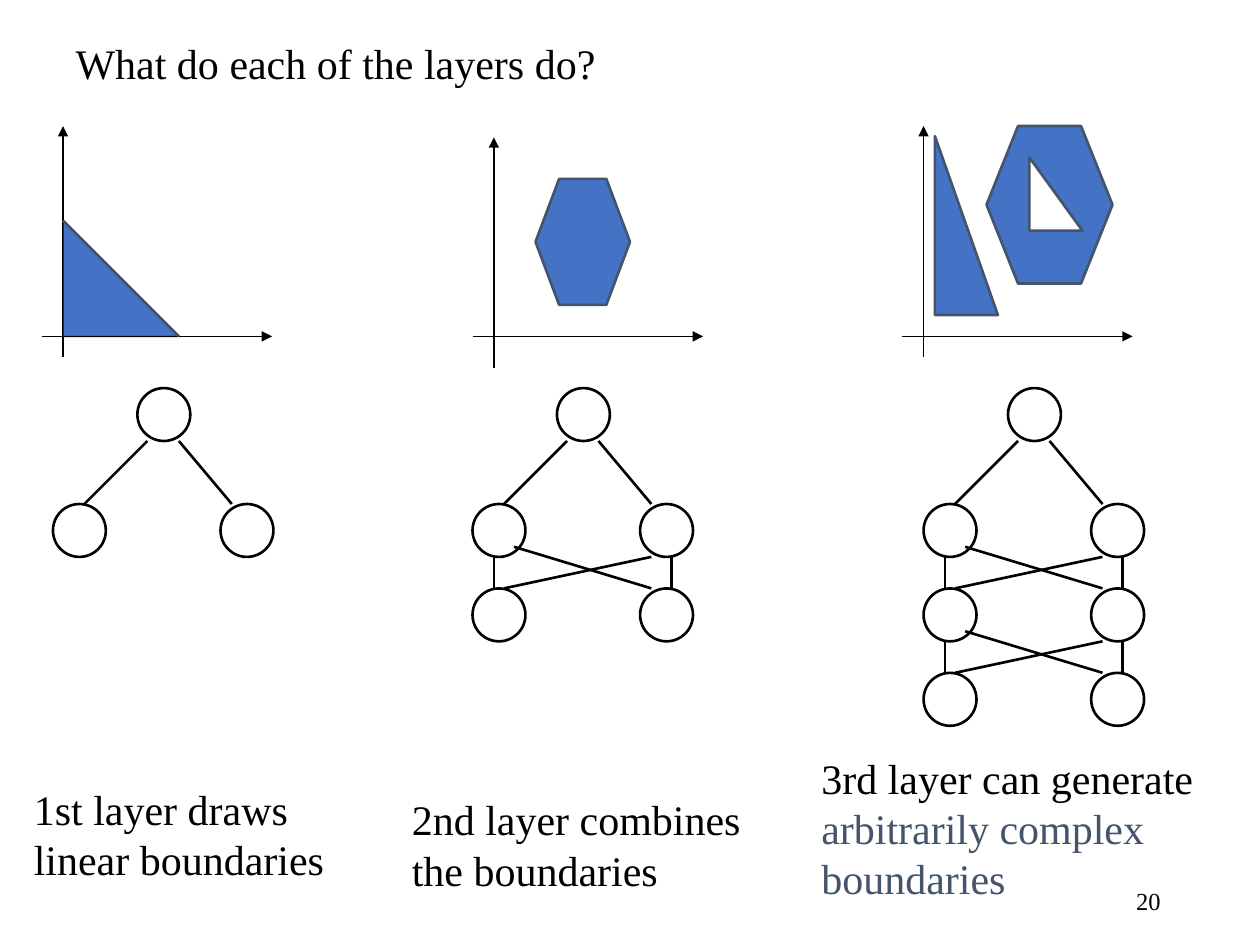
from dataclasses import dataclass
from typing import Optional

from lxml.etree import SubElement
from pptx import Presentation
from pptx.dml.color import RGBColor
from pptx.enum.shapes import MSO_CONNECTOR, MSO_SHAPE
from pptx.enum.text import MSO_ANCHOR, PP_ALIGN
from pptx.oxml.ns import qn
from pptx.util import Inches, Pt

BLACK = RGBColor(0x00, 0x00, 0x00)
WHITE = RGBColor(0xFF, 0xFF, 0xFF)
BLUE = RGBColor(0x44, 0x72, 0xC4)
SLATE = RGBColor(0x44, 0x54, 0x6A)
FONT = "Times New Roman"
THIN, THICK = 0.75, 1.5

NODE_SIZE = 0.42
OUTPUT_TOP = 3.08
HIDDEN_TOP = 4.0
ROW_STEP = 0.67
AXIS_Y = 2.67
AXIS_LENGTH = 1.83


@dataclass(frozen=True)
class Axes:
    x: float
    bottom: float


@dataclass(frozen=True)
class Network:
    left: float
    rows: int


@dataclass(frozen=True)
class Region:
    kind: MSO_SHAPE
    left: float
    top: float
    width: float
    height: float
    fill: Optional[RGBColor] = BLUE
    line: RGBColor = SLATE
    weight: float = THICK


@dataclass(frozen=True)
class Caption:
    left: float
    top: float
    width: float
    height: float
    phrases: tuple[tuple[str, RGBColor], ...]


AXES = (Axes(0.5, 2.83), Axes(3.92, 2.92), Axes(7.33, 2.83))
NETWORKS = (Network(0.42, 1), Network(3.75, 2), Network(7.33, 3))
REGIONS = (
    Region(MSO_SHAPE.RIGHT_TRIANGLE, 0.5, 1.75, 0.92, 0.92, line=BLACK, weight=THIN),
    Region(MSO_SHAPE.HEXAGON, 4.25, 1.42, 0.75, 1),
    Region(MSO_SHAPE.HEXAGON, 7.83, 1, 1, 1.25),
    Region(MSO_SHAPE.RIGHT_TRIANGLE, 7.42, 1.08, 0.5, 1.42),
    Region(MSO_SHAPE.RIGHT_TRIANGLE, 8.17, 1.25, 0.42, 0.58, fill=WHITE),
)
CAPTIONS = (
    Caption(0.17, 6.17, 2.85, 0.9, (("1st layer draws linear boundaries", BLACK),)),
    Caption(3.17, 6.25, 3.08, 1.5, (("2nd layer combines the boundaries", BLACK),)),
    Caption(6.42, 5.92, 3.58, 1.3, (("3rd layer can generate ", BLACK),
                                    ("arbitrarily complex boundaries", SLATE))),
)


def format_run(run, size: int, color: RGBColor) -> None:
    run.font.name = FONT
    run.font.size = Pt(size)
    run.font.color.rgb = color


def add_title(slide, text: str) -> None:
    title = slide.shapes.title
    title.left, title.top = Inches(0.5), Inches(0.25)
    title.width, title.height = Inches(9.33), Inches(0.5)
    text_frame = title.text_frame
    text_frame.text = text
    text_frame.vertical_anchor = MSO_ANCHOR.TOP
    text_frame.paragraphs[0].alignment = PP_ALIGN.LEFT
    format_run(text_frame.paragraphs[0].runs[0], 24, BLACK)


def add_caption(slide, caption: Caption, size: int = 24):
    box = slide.shapes.add_textbox(Inches(caption.left), Inches(caption.top),
                                   Inches(caption.width), Inches(caption.height))
    box.text_frame.word_wrap = True
    paragraph = box.text_frame.paragraphs[0]
    for text, color in caption.phrases:
        run = paragraph.add_run()
        run.text = text
        format_run(run, size, color)
    return box


def add_page_number(slide, number: str) -> None:
    box = add_caption(slide, Caption(7.06, 6.95, 2.25, 0.4, ((number, BLACK),)), 14)
    box.text_frame.vertical_anchor = MSO_ANCHOR.MIDDLE
    box.text_frame.paragraphs[0].alignment = PP_ALIGN.RIGHT


def add_line(slide, x1: float, y1: float, x2: float, y2: float,
             color: RGBColor = BLACK, weight: float = THICK, arrow: bool = False) -> None:
    connector = slide.shapes.add_connector(MSO_CONNECTOR.STRAIGHT, Inches(x1), Inches(y1),
                                           Inches(x2), Inches(y2))
    connector.line.color.rgb = color
    connector.line.width = Pt(weight)
    properties = connector._element.spPr
    if arrow:
        SubElement(properties.find(qn("a:ln")), qn("a:tailEnd"), type="triangle")
    SubElement(properties, qn("a:effectLst"))


def add_region(slide, region: Region) -> None:
    shape = slide.shapes.add_shape(region.kind, Inches(region.left), Inches(region.top),
                                   Inches(region.width), Inches(region.height))
    shape.shadow.inherit = False
    if region.fill is None:
        shape.fill.background()
    else:
        shape.fill.solid()
        shape.fill.fore_color.rgb = region.fill
    shape.line.color.rgb = region.line
    shape.line.width = Pt(region.weight)


def add_axes(slide, axes: Axes) -> None:
    start = axes.x - 0.17
    add_line(slide, start, AXIS_Y, start + AXIS_LENGTH, AXIS_Y, weight=THIN, arrow=True)
    add_line(slide, axes.x, axes.bottom, axes.x, axes.bottom - AXIS_LENGTH,
             weight=THIN, arrow=True)


def add_node(slide, left: float, top: float) -> None:
    add_region(slide, Region(MSO_SHAPE.OVAL, left, top, NODE_SIZE, NODE_SIZE,
                             fill=None, line=BLACK))


def add_network(slide, network: Network) -> None:
    """Draw an output node above rows of two nodes, each row wired to the one above."""
    left = network.left
    add_node(slide, left + 0.67, OUTPUT_TOP)
    for row in range(network.rows):
        top = HIDDEN_TOP + row * ROW_STEP
        add_node(slide, left, top)
        add_node(slide, left + 1.33, top)
        if row == 0:
            links = ((0.25, 0.75, 0.5), (1.42, 1, 0.5))
        else:
            links = ((0.25, 1.42, 0.25), (1.42, 0.33, 0.33),
                     (0.17, 0.17, 0.25), (1.58, 1.58, 0.25))
        for start, end, rise in links:
            add_line(slide, left + start, top, left + end, top - rise)


def main() -> None:
    presentation = Presentation()
    presentation.slide_width, presentation.slide_height = Inches(10), Inches(7.5)
    slide = presentation.slides.add_slide(presentation.slide_layouts[5])

    add_title(slide, "What do each of the layers do?")
    for caption in CAPTIONS:
        add_caption(slide, caption)
    for axes in AXES:
        add_axes(slide, axes)
    for region in REGIONS:
        add_region(slide, region)
    add_line(slide, 0.5, 1.75, 1.42, 2.67, color=SLATE)
    for network in NETWORKS:
        add_network(slide, network)
    add_page_number(slide, "20")

    presentation.save("out.pptx")


if __name__ == "__main__":
    main()
